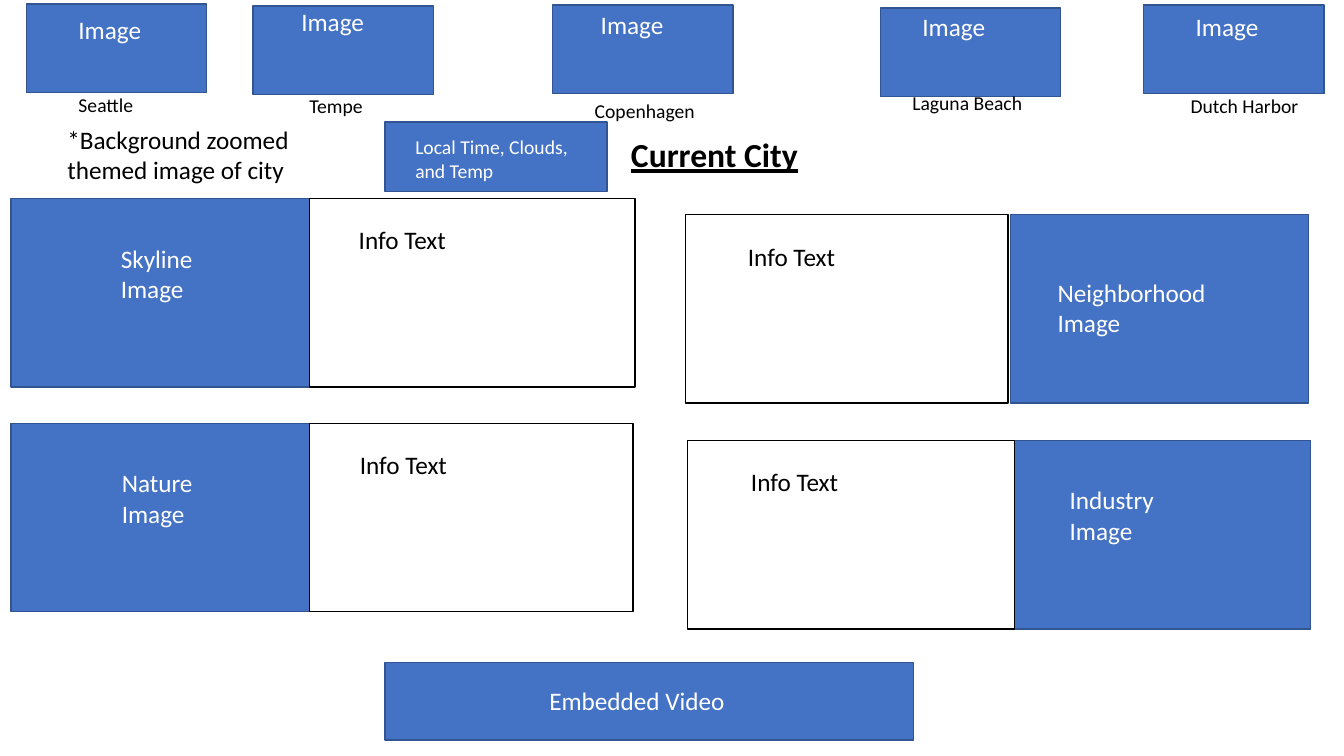
import pptx
import pptx.dml.color
import pptx.enum.shapes
import pptx.util

Inches = pptx.util.Inches

COLORS = {"blue": "4472C4", "edge": "325491", "white": "FFFFFF", "black": "000000"}
BODY = {"name": "Calibri", "size": pptx.util.Pt(18)}
SMALL = {**BODY, "size": pptx.util.Pt(14)}
HEADING = {**BODY, "size": pptx.util.Pt(24), "bold": True, "underline": True}

CARD_SIZE = (1.79, 0.88)
PANEL_HEIGHT = 1.87
PHOTO_WIDTH = 2.96

# City, card corner, offset of the word "Image", offset and width of the city name
CITIES = [
    ("Seattle", (0.26, 0.04), (0.42, 0.05), (0.42, 0.83), 1.05),
    ("Tempe", (2.51, 0.06), (0.38, -0.05), (0.46, 0.82), 1.29),
    ("Copenhagen", (5.48, 0.05), (0.38, -0.01), (0.32, 0.88), 1.67),
    ("Laguna Beach", (8.73, 0.08), (0.32, -0.02), (0.22, 0.77), 1.72),
    ("Dutch Harbor", (11.34, 0.05), (0.42, 0.01), (0.37, 0.83), 1.29),
]

# Topic, top, photo left, caption offset and width, info left and width, info text inset
PANELS = [
    ("Skyline Image", 1.97, 0.11, (0.99, 0.39), 0.97, 3.07, 3.23, 0.39),
    ("Neighborhood Image", 2.13, 10.02, (0.37, 0.57), 1.72, 6.8, 3.2, 0.52),
    ("Nature Image", 4.2, 0.11, (1.0, 0.39), 0.97, 3.07, 3.21, 0.4),
    ("Industry Image", 4.37, 10.04, (0.47, 0.39), 1.51, 6.82, 3.24, 0.53),
]


def rgb(name):
    """Return the named colour."""
    return pptx.dml.color.RGBColor.from_string(COLORS[name])


def add_block(slide, box, fill="blue", edge="edge"):
    """Draw an outlined rectangle in the box."""
    block = slide.shapes.add_shape(
        pptx.enum.shapes.MSO_SHAPE.RECTANGLE, *map(Inches, box))
    block.shadow.inherit = False
    block.fill.solid()
    block.fill.fore_color.rgb = rgb(fill)
    block.line.color.rgb = rgb(edge)
    block.line.width = pptx.util.Pt(1)


def add_label(slide, words, box, color="white", style=BODY):
    """Write wrapped text in the box."""
    frame = slide.shapes.add_textbox(*map(Inches, box)).text_frame
    frame.word_wrap = True
    run = frame.paragraphs[0].add_run()
    run.text = words
    for attribute, value in style.items():
        setattr(run.font, attribute, value)
    run.font.color.rgb = rgb(color)


def add_city_card(slide, box, city, image_offset, name_offset, name_width):
    """Draw a city's image block with its name below."""
    left, top = box[:2]
    add_block(slide, box)
    add_label(slide, "Image", (left + image_offset[0], top + image_offset[1], 1.3, 0.4))
    add_label(slide, city, (left + name_offset[0], top + name_offset[1], name_width, 0.34),
              "black", SMALL)


def add_topic_panel(slide, photo, info, topic, caption_offset, caption_width, info_inset):
    """Draw a topic's photo block and the info box beside it."""
    add_block(slide, photo)
    add_label(slide, topic, (photo[0] + caption_offset[0], photo[1] + caption_offset[1],
                             caption_width, 0.71))
    add_block(slide, info, "white", "black")
    add_label(slide, "Info Text", (info[0] + info_inset, info[1] + 0.21, 2.8, 0.4), "black")


def add_city_header(slide, box):
    """Place the background note, the weather block and the city heading."""
    left, top = box[:2]
    add_label(slide, "*Background zoomed themed image of city",
              (left, top, 2.46, 0.71), "black")
    add_block(slide, (left + 3.25, top + 0.03, 2.2, 0.69))
    add_label(slide, "Local Time, Clouds, and Temp",
              (left + 3.45, top + 0.11, 1.79, 0.57), style=SMALL)
    add_label(slide, "Current City", (left + 5.59, top + 0.1, 1.92, 0.5), "black", HEADING)


def add_video(slide, box):
    """Draw the embedded video block."""
    add_block(slide, box)
    add_label(slide, "Embedded Video", (box[0] + 1.53, box[1] + 0.18, 3.54, 0.4))


def main():
    """Build the city page layout and save it."""
    deck = pptx.Presentation()
    deck.slide_width, deck.slide_height = Inches(13.33), Inches(7.5)
    slide = deck.slides.add_slide(deck.slide_layouts[6])
    for city, corner, image_offset, name_offset, name_width in CITIES:
        add_city_card(slide, corner + CARD_SIZE, city, image_offset, name_offset, name_width)
    add_city_header(slide, (0.57, 1.18, 7.51, 0.72))
    for topic, top, photo_left, offset, width, info_left, info_width, inset in PANELS:
        add_topic_panel(slide, (photo_left, top, PHOTO_WIDTH, PANEL_HEIGHT),
                        (info_left, top, info_width, PANEL_HEIGHT),
                        topic, offset, width, inset)
    add_video(slide, (3.82, 6.57, 5.24, 0.77))
    deck.save("out.pptx")


if __name__ == "__main__":
    main()
